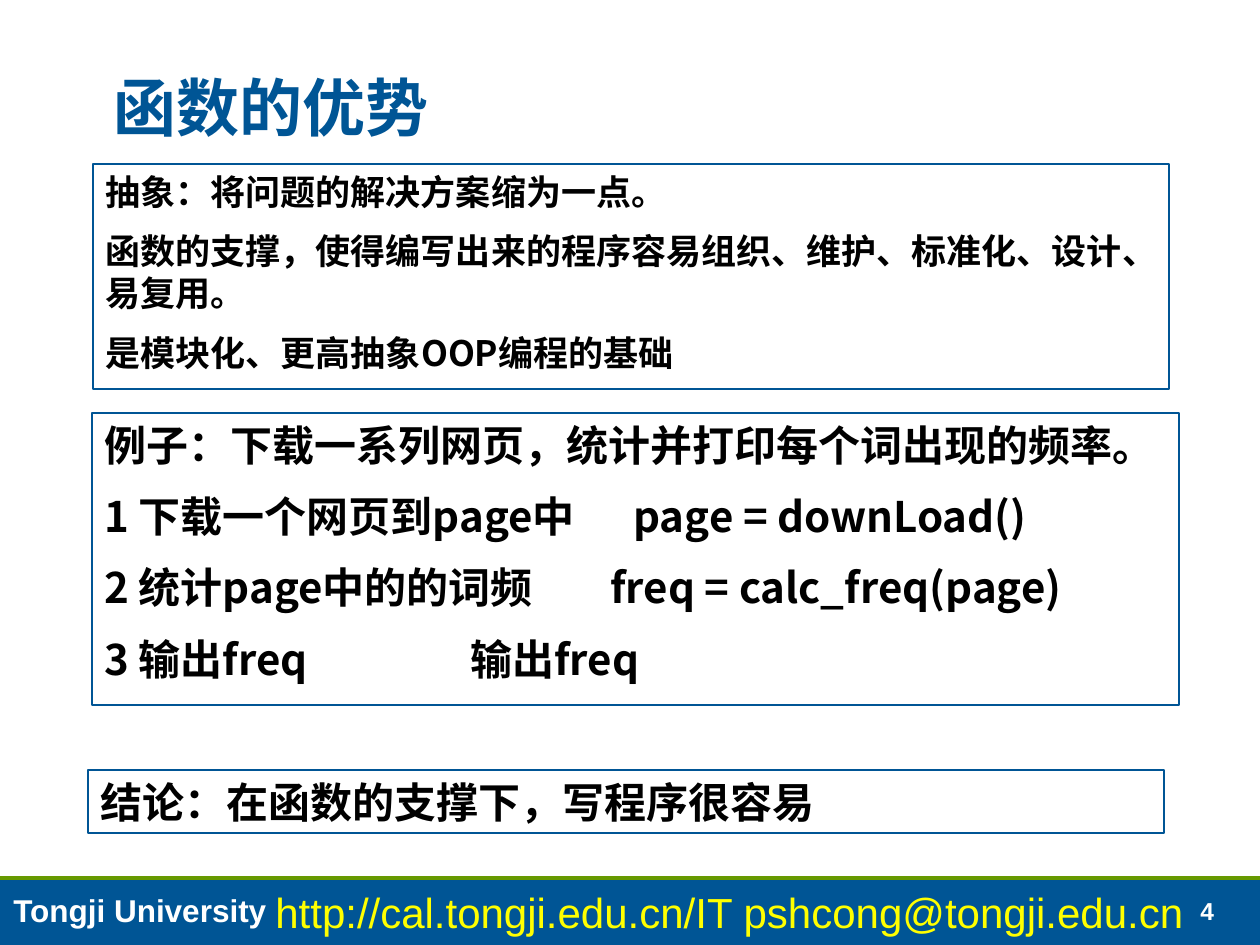
from dataclasses import dataclass

from lxml.etree import SubElement
from pptx import Presentation
from pptx.dml.color import RGBColor
from pptx.enum.shapes import MSO_CONNECTOR, MSO_SHAPE
from pptx.enum.text import MSO_ANCHOR
from pptx.oxml.ns import qn
from pptx.util import Emu, Pt

BLUE = RGBColor(0x00, 0x55, 0x95)
GREEN = RGBColor(0x66, 0x99, 0x00)
YELLOW = RGBColor(0xFF, 0xFF, 0x00)
WHITE = RGBColor(0xFF, 0xFF, 0xFF)
BLACK = RGBColor(0x00, 0x00, 0x00)
SANS = "Noto Sans CJK SC"
SCALE = 914400 / 126  # EMU in one px
WIDTH, HEIGHT = 1260, 945


@dataclass
class Box:
    left: int
    top: int
    width: int
    height: int


@dataclass
class Line:
    text: str
    stop: int = 0  # tab stop from the text edge, in px


@dataclass
class Panel:
    box: Box
    size: int
    lines: list[Line]


@dataclass
class Label:
    box: Box
    text: str
    size: int
    color: RGBColor
    bold: bool = True


PANELS = [
    Panel(Box(93, 164, 1076, 225), 20, [
        Line("抽象：将问题的解决方案缩为一点。"),
        Line("函数的支撑，使得编写出来的程序容易组织、维护、标准化、设计、易复用。"),
        Line("是模块化、更高抽象OOP编程的基础"),
    ]),
    Panel(Box(92, 413, 1087, 292), 24, [
        Line("例子：下载一系列网页，统计并打印每个词出现的频率。"),
        Line("1 下载一个网页到page中\tpage = downLoad()", 529),
        Line("2 统计page中的的词频\tfreq = calc_freq(page)", 506),
        Line("3 输出freq\t输出freq", 366),
    ]),
    Panel(Box(88, 770, 1076, 63), 24, [
        Line("结论：在函数的支撑下，写程序很容易"),
    ]),
]

LABELS = [
    Label(Box(1188, 890, 67, 43), "4", 14, WHITE),
    Label(Box(1, 885, 442, 50), "Tongji University", 18, WHITE),
    Label(Box(263, 880, 973, 63),
          "http://cal.tongji.edu.cn/IT pshcong@tongji.edu.cn",
          24, YELLOW, bold=False),
]


def px(num: int) -> Emu:
    return Emu(round(num * SCALE))


def place(box: Box) -> tuple[Emu, Emu, Emu, Emu]:
    return px(box.left), px(box.top), px(box.width), px(box.height)


def write(frame, lines: list[Line], *, size: int, color: RGBColor,
          font: str = SANS, bold: bool = True, pitch=None,
          gap: float = 0, anchor=MSO_ANCHOR.TOP) -> None:
    """Fill a text frame, one paragraph for each line."""
    frame.word_wrap = True
    frame.vertical_anchor = anchor
    for num, line in enumerate(lines):
        para = frame.paragraphs[0] if num == 0 else frame.add_paragraph()
        para.line_spacing = pitch
        para.space_before = Pt(gap if num else 0)
        if line.stop:
            props = para._p.get_or_add_pPr()
            tabs = SubElement(props, qn("a:tabLst"))
            SubElement(tabs, qn("a:tab"), pos=str(px(line.stop)), algn="l")
        run = para.add_run()
        run.text = line.text
        run.font.size = Pt(size)
        run.font.bold = bold
        run.font.color.rgb = color
        run.font.name = font
        # East Asian glyphs take the same face
        SubElement(run._r.get_or_add_rPr(), qn("a:ea"), typeface=font)


def draw_rect(slide, box: Box, fill: RGBColor):
    shape = slide.shapes.add_shape(MSO_SHAPE.RECTANGLE, *place(box))
    shape.shadow.inherit = False
    shape.fill.solid()
    shape.fill.fore_color.rgb = fill
    shape.line.fill.background()
    return shape


def draw_panel(slide, panel: Panel) -> None:
    shape = draw_rect(slide, panel.box, WHITE)
    shape.line.color.rgb = BLUE
    shape.line.width = Pt(0.75)
    write(shape.text_frame, panel.lines, size=panel.size, color=BLACK,
          pitch=Pt(panel.size * 1.2), gap=panel.size / 2)
    for para in shape.text_frame.paragraphs:
        para.alignment = 1  # left


def draw_label(slide, label: Label) -> None:
    text = slide.shapes.add_textbox(*place(label.box))
    write(text.text_frame, [Line(label.text)], size=label.size,
          color=label.color, font="Arial", bold=label.bold)


def draw_foot(slide) -> None:
    top = 878
    draw_rect(slide, Box(0, top, WIDTH, HEIGHT - top), BLUE)
    rule = slide.shapes.add_connector(
        MSO_CONNECTOR.STRAIGHT, 0, px(top), px(WIDTH), px(top))
    rule.line.color.rgb = GREEN
    rule.line.width = Pt(2)
    SubElement(rule._element.spPr, qn("a:effectLst"))
    for label in LABELS:
        draw_label(slide, label)


def main() -> None:
    deck = Presentation()
    deck.slide_width, deck.slide_height = px(WIDTH), px(HEIGHT)
    slide = deck.slides.add_slide(deck.slide_layouts[6])

    # Footer band
    draw_foot(slide)

    # Title
    title = slide.shapes.add_textbox(*place(Box(101, 26, 1096, 126)))
    write(title.text_frame, [Line("函数的优势")], size=36, color=BLUE,
          pitch=0.95, anchor=MSO_ANCHOR.BOTTOM)

    # Framed text
    for panel in PANELS:
        draw_panel(slide, panel)

    deck.save("out.pptx")


if __name__ == "__main__":
    main()
